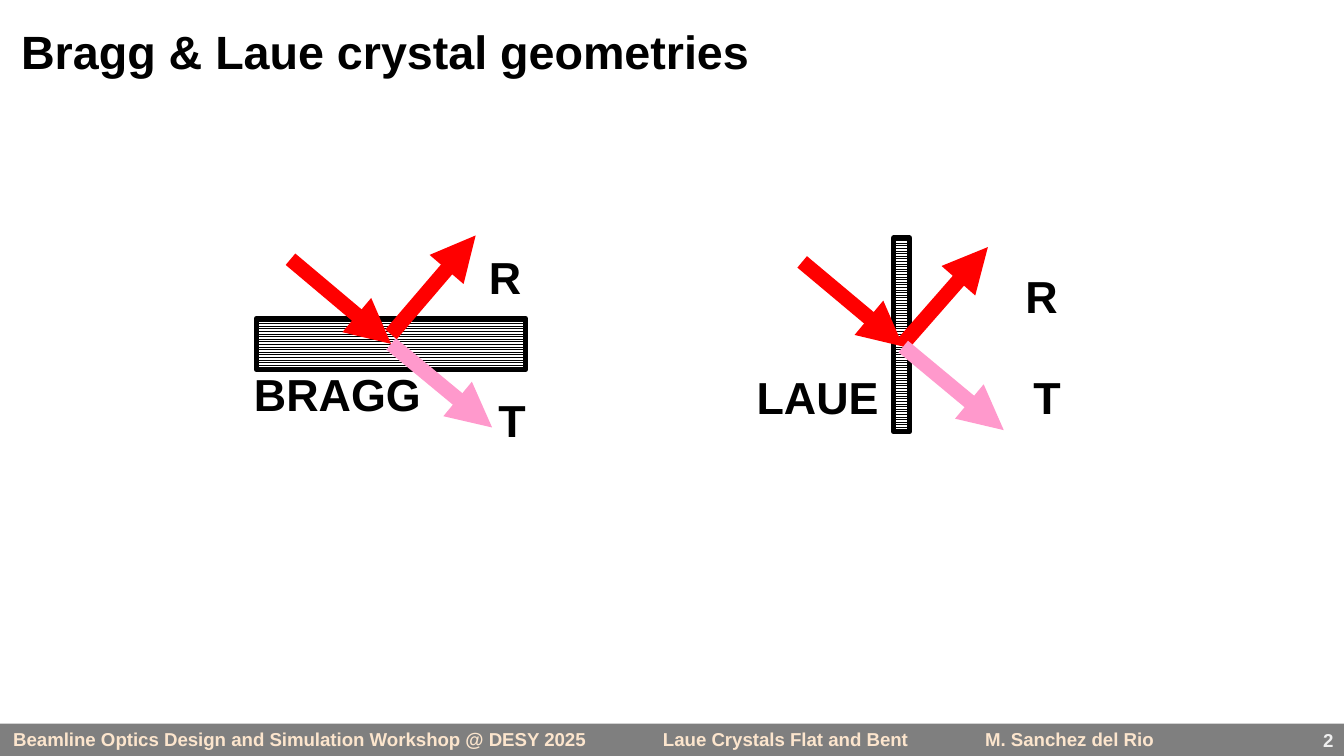
"""Build a slide that compares the Bragg and Laue crystal geometries."""
from dataclasses import dataclass

import pptx
import pptx.dml.color
import pptx.enum.dml
import pptx.enum.shapes
import pptx.enum.text
import pptx.oxml
import pptx.oxml.ns
import pptx.util

Cm = pptx.util.Cm
Pt = pptx.util.Pt
RGBColor = pptx.dml.color.RGBColor
Align = pptx.enum.text.PP_ALIGN
Anchor = pptx.enum.text.MSO_ANCHOR
RECT = pptx.enum.shapes.MSO_SHAPE.RECTANGLE

BLACK = RGBColor(0x00, 0x00, 0x00)
WHITE = RGBColor(0xFF, 0xFF, 0xFF)
RED = RGBColor(0xFF, 0x00, 0x00)
PINK = RGBColor(0xFF, 0x99, 0xCC)
CREAM = RGBColor(0xFC, 0xE5, 0xCD)
PALE = RGBColor(0xEF, 0xEF, 0xEF)
NS = pptx.oxml.ns.nsdecls("a")


@dataclass(frozen=True)
class Box:
    left: float
    top: float
    width: float
    height: float

    def spans(self) -> list:
        return [Cm(v) for v in (self.left, self.top, self.width, self.height)]


@dataclass(frozen=True)
class Ray:
    start: tuple[float, float]
    end: tuple[float, float]
    color: RGBColor


@dataclass(frozen=True)
class Label:
    text: str
    left: float
    top: float
    width: float


@dataclass(frozen=True)
class Setup:
    slab: Box
    rays: list[Ray]
    labels: list[Label]


SETUPS = [
    Setup(
        Box(4.85, 6.02, 5.08, 0.97),
        [
            Ray((5.49, 4.9), (7.39, 6.5), RED),
            Ray((7.39, 6.5), (9.3, 8.08), PINK),
            Ray((7.39, 6.32), (8.99, 4.45), RED),
        ],
        [
            Label("R", 8.99, 4.6, 1.14),
            Label("BRAGG", 4.55, 6.81, 3.71),
            Label("T", 9.17, 7.29, 1.04),
        ],
    ),
    Setup(
        Box(16.89, 4.5, 0.3, 3.66),
        [
            Ray((15.16, 4.95), (17.07, 6.55), RED),
            Ray((17.04, 6.53), (18.67, 4.67), RED),
            Ray((17.07, 6.55), (18.97, 8.13), PINK),
        ],
        [
            Label("R", 19.13, 4.95, 1.14),
            Label("T", 19.28, 6.86, 1.04),
            Label("LAUE", 14.05, 6.86, 2.84),
        ],
    ),
]


def write(shape, parts: list[str], size: float, color: RGBColor, pad: float,
          align=Align.LEFT, anchor=Anchor.TOP, wrap: bool = True) -> None:
    frame = shape.text_frame
    frame.word_wrap = wrap
    frame.vertical_anchor = anchor
    frame.margin_left = frame.margin_right = Cm(0.25)
    frame.margin_top = frame.margin_bottom = Cm(pad)
    line = frame.paragraphs[0]
    line.alignment = align
    for part in parts:
        run = line.add_run()
        run.text = part
        run.font.name = "Arial"
        run.font.size = Pt(size)
        run.font.bold = True
        run.font.color.rgb = color


def draw_slab(shapes, box: Box) -> None:
    slab = shapes.add_shape(RECT, *box.spans())
    slab.shadow.inherit = False
    slab.fill.patterned()
    slab.fill.pattern = pptx.enum.dml.MSO_PATTERN.LIGHT_HORIZONTAL
    slab.fill.fore_color.rgb = BLACK
    slab.fill.back_color.rgb = WHITE
    slab.line.color.rgb = BLACK
    slab.line.width = Pt(3)


def draw_ray(shapes, ray: Ray) -> None:
    ends = [Cm(v) for v in ray.start + ray.end]
    kind = pptx.enum.shapes.MSO_CONNECTOR.STRAIGHT
    beam = shapes.add_connector(kind, *ends)
    beam.line.color.rgb = ray.color
    beam.line.width = Pt(8)
    head = pptx.oxml.parse_xml(f'<a:tailEnd {NS} type="triangle"/>')
    beam.line._get_or_add_ln().append(head)
    beam._element.spPr.append(pptx.oxml.parse_xml(f"<a:effectLst {NS}/>"))


def draw_label(shapes, label: Label) -> None:
    box = Box(label.left, label.top, label.width, 1.3)
    write(shapes.add_textbox(*box.spans()), [label.text], 24, BLACK, 0.13,
          wrap=False)


def draw_setup(slide, setup: Setup) -> None:
    shapes = slide.shapes.add_group_shape().shapes
    draw_slab(shapes, setup.slab)
    for ray in setup.rays:
        draw_ray(shapes, ray)
    for label in setup.labels:
        draw_label(shapes, label)


def draw_foot(slide) -> None:
    bar = slide.shapes.add_shape(RECT, *Box(0, 13.68, 25.4, 0.61).spans())
    bar.shadow.inherit = False
    bar.fill.solid()
    bar.fill.fore_color.rgb = BLACK
    tint = bar._element.spPr.find(".//" + pptx.oxml.ns.qn("a:srgbClr"))
    tint.append(pptx.oxml.parse_xml(f'<a:alpha {NS} val="50000"/>'))
    bar.line.fill.background()
    stops = "".join(f'<a:tab pos="{Cm(x)}" algn="l"/>' for x in (12.28, 18.37))
    props = bar.text_frame.paragraphs[0]._p.get_or_add_pPr()
    props.append(pptx.oxml.parse_xml(f"<a:tabLst {NS}>{stops}</a:tabLst>"))
    write(bar, ["Beamline Optics Design and Simulation Workshop @ DESY 2025",
                "\tLaue Crystals Flat and Bent", "\tM. Sanchez del Rio"],
          10, CREAM, 0.08)
    page = slide.shapes.add_textbox(*Box(23.55, 13.64, 1.9, 0.69).spans())
    write(page, ["2"], 10, PALE, 0.08, Align.RIGHT, Anchor.MIDDLE)


def main() -> None:
    deck = pptx.Presentation()
    deck.slide_width, deck.slide_height = Cm(25.4), Cm(14.29)
    slide = deck.slides.add_slide(deck.slide_layouts[6])
    draw_foot(slide)
    title = slide.shapes.add_textbox(*Box(0.15, 0.18, 25.12, 1.63).spans())
    write(title, ["Bragg & Laue crystal geometries"], 25, BLACK, 0.25)
    for setup in SETUPS:
        draw_setup(slide, setup)
    deck.save("out.pptx")


if __name__ == "__main__":
    main()
